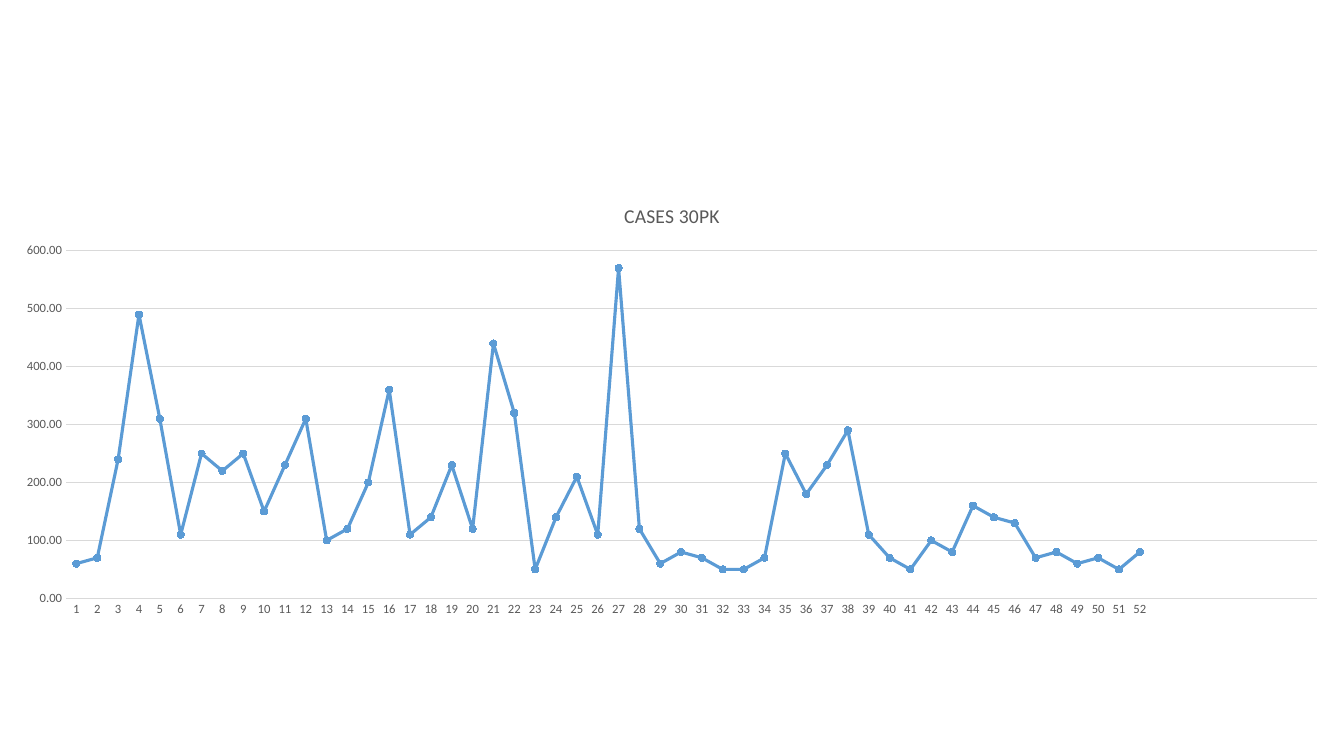
from pptx import Presentation
from pptx.chart.data import CategoryChartData
from pptx.dml.color import RGBColor
from pptx.enum.chart import XL_CHART_TYPE, XL_MARKER_STYLE, XL_TICK_MARK
from pptx.util import Inches, Pt

FONT = "Calibri"
TEXT, GRID, LINE = "595959", "D9D9D9", "5B9BD5"
TITLE = "CASES 30PK"
WEEK_SLOTS = 60  # the axis leaves room after the last week
CASES = [
    60, 70, 240, 490, 310, 110, 250, 220, 250, 150, 230, 310, 100,
    120, 200, 360, 110, 140, 230, 120, 440, 320, 50, 140, 210, 110,
    570, 120, 60, 80, 70, 50, 50, 70, 250, 180, 230, 290, 110,
    70, 50, 100, 80, 160, 140, 130, 70, 80, 60, 70, 50, 80,
]


def rgb(value):
    return RGBColor.from_string(value)


def style_font(font, size, color=TEXT):
    font.name, font.size, font.bold = FONT, Pt(size), False
    font.color.rgb = rgb(color)


def style_line(line, color, width):
    line.color.rgb = rgb(color)
    line.width = Pt(width)


def add_cases_chart(slide, left, top, width, height):
    empty_slots = WEEK_SLOTS - len(CASES)
    data = CategoryChartData(number_format="0.00")
    data.categories = [str(week + 1) for week in range(len(CASES))] + [""] * empty_slots
    data.add_series(TITLE, CASES + [None] * empty_slots)
    chart = slide.shapes.add_chart(
        XL_CHART_TYPE.LINE_MARKERS, left, top, width, height, data).chart
    style_font(chart.font, 10, "000000")
    chart.has_legend = False

    # Title
    chart.has_title = True
    title = chart.chart_title
    title.include_in_layout = False
    title.text_frame.text = TITLE
    style_font(title.text_frame.paragraphs[0].runs[0].font, 14)

    # Axes
    weeks, cases = chart.category_axis, chart.value_axis
    for axis in (weeks, cases):
        axis.major_tick_mark = axis.minor_tick_mark = XL_TICK_MARK.NONE
        style_font(axis.tick_labels.font, 9)
    style_line(weeks.format.line, GRID, 0.75)
    cases.format.line.fill.background()
    cases.minimum_scale, cases.maximum_scale, cases.major_unit = 0, 600, 100
    cases.tick_labels.number_format = "0.00"
    cases.tick_labels.number_format_is_linked = False
    style_line(cases.major_gridlines.format.line, GRID, 0.75)

    # Line and markers
    plot = chart.plots[0]
    plot.vary_by_categories = False
    series = plot.series[0]
    series.smooth = False
    style_line(series.format.line, LINE, 2.25)
    marker = series.marker
    marker.style, marker.size = XL_MARKER_STYLE.CIRCLE, 5
    marker.format.fill.solid()
    marker.format.fill.fore_color.rgb = rgb(LINE)
    style_line(marker.format.line, LINE, 0.75)


prs = Presentation()
prs.slide_width, prs.slide_height = Inches(13.33), Inches(7.5)
slide = prs.slides.add_slide(prs.slide_layouts[6])
add_cases_chart(slide, 0, Inches(1.83), prs.slide_width, Inches(4.38))
prs.save("out.pptx")
